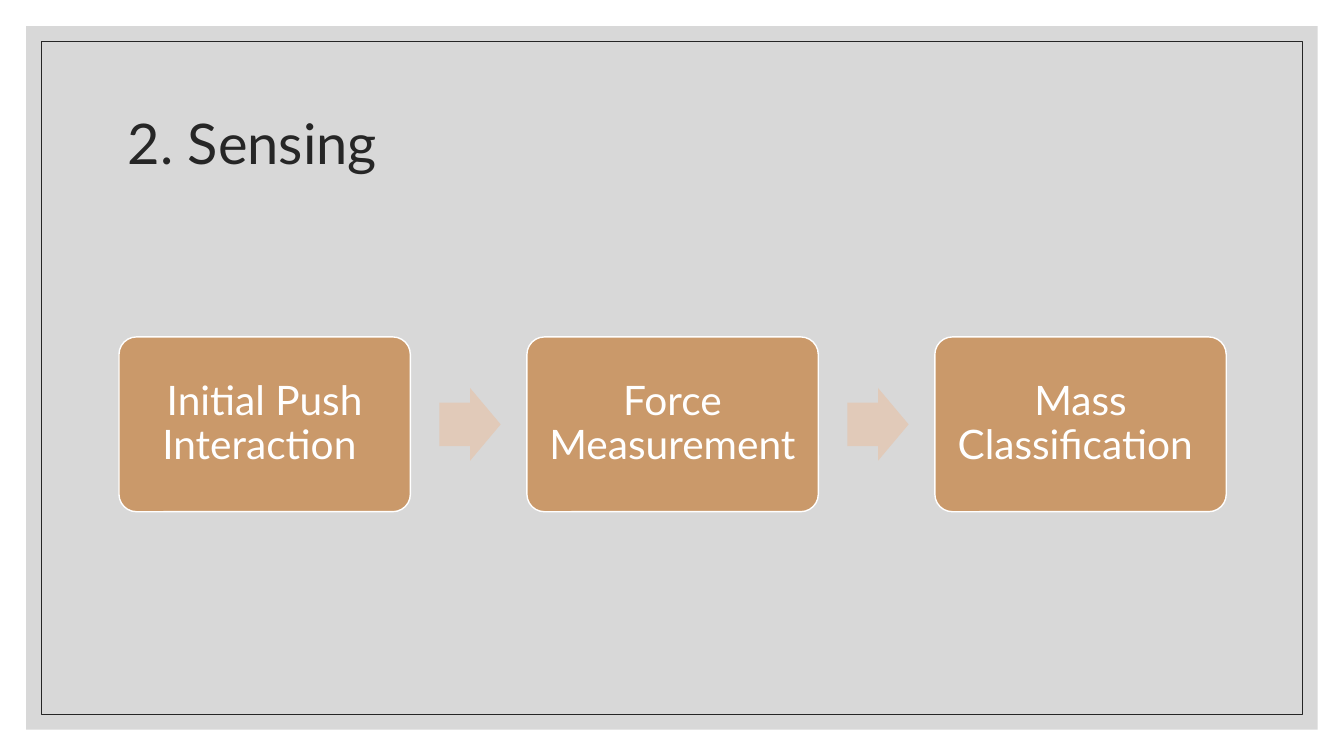
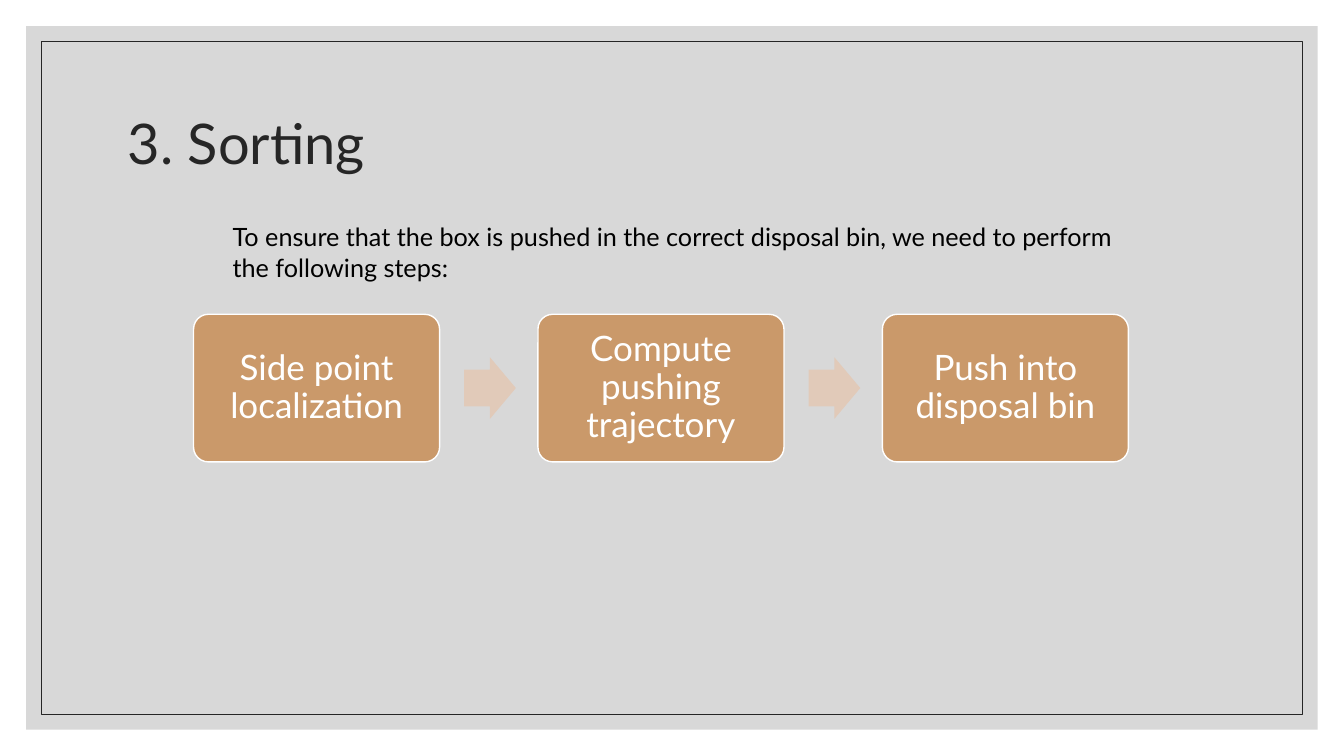
from lxml import etree
from pptx import Presentation
from pptx.dml.color import RGBColor
from pptx.enum.shapes import MSO_SHAPE
from pptx.enum.text import MSO_ANCHOR, PP_ALIGN
from pptx.oxml.ns import qn
from pptx.util import Inches, Pt

RECT = MSO_SHAPE.RECTANGLE
ROUND = MSO_SHAPE.ROUNDED_RECTANGLE
ARROW = MSO_SHAPE.RIGHT_ARROW
MIDDLE, TOP = MSO_ANCHOR.MIDDLE, MSO_ANCHOR.TOP
LEFT, CENTER = PP_ALIGN.LEFT, PP_ALIGN.CENTER

WHITE = RGBColor(0xFF, 0xFF, 0xFF)
BLACK = RGBColor(0, 0, 0)
INK = RGBColor(0x26, 0x26, 0x26)
GREY = RGBColor(0xBF, 0xBF, 0xBF)
TAN = RGBColor(0xCA, 0x99, 0x6A)
PALE = RGBColor(0xE1, 0xCA, 0xB9)

FONT = "Lato"
WIDE, HIGH = 13.33, 7.5

# Flow chart sizes, as shares of a step's width
PITCH = 1.4
STEP_H = 0.6
ARROW_X, ARROW_W, ARROW_H = 1.1, 0.21, 0.25
INSET = 0.04


def add_shape(slide, kind, x, y, w, h, fill=None, line=None, width=1):
    shape = slide.shapes.add_shape(
        kind, Inches(x), Inches(y), Inches(w), Inches(h))
    shape.shadow.inherit = False
    if fill is None:
        shape.fill.background()
    else:
        shape.fill.solid()
        shape.fill.fore_color.rgb = fill
    if line is None:
        shape.line.fill.background()
    else:
        shape.line.color.rgb = line
        shape.line.width = Pt(width)
    return shape


def set_text(shape, text, size, color, align=LEFT, anchor=TOP, space=1.0):
    frame = shape.text_frame
    frame.word_wrap = True
    frame.vertical_anchor = anchor
    para = frame.paragraphs[0]
    para.text = text
    para.alignment = align
    para.line_spacing = space
    para.font.name = FONT
    para.font.size = Pt(size)
    para.font.color.rgb = color


def add_text(slide, x, y, w, h, *args, **style):
    box = slide.shapes.add_textbox(
        Inches(x), Inches(y), Inches(w), Inches(h))
    set_text(box, *args, **style)


def add_frame(slide, gap, **style):
    return add_shape(slide, RECT, gap, gap,
                     WIDE - 2 * gap, HIGH - 2 * gap, **style)


def add_page(deck, title):
    slide = deck.slides.add_slide(deck.slide_layouts[6])
    # Translucent panel with a thin inner border
    panel = add_frame(slide, 0.26, fill=GREY)
    color = panel.fill._xPr.find(".//" + qn("a:srgbClr"))
    etree.SubElement(color, qn("a:alpha")).set("val", "60000")
    add_frame(slide, 0.41, line=INK, width=0.5)
    # Title
    add_text(slide, 1.17, 0.7, 11, 1.5, title, 40, INK,
             anchor=MIDDLE, space=0.9)
    return slide


def add_flow(slide, steps, x, mid, unit, size):
    high, tall = STEP_H * unit, ARROW_H * unit
    for i, step in enumerate(steps):
        left = x + i * PITCH * unit
        if i:
            add_shape(slide, ARROW, left + (ARROW_X - PITCH) * unit,
                      mid - tall / 2, ARROW_W * unit, tall,
                      fill=PALE).adjustments[0] = 0.6
        box = add_shape(slide, ROUND, left, mid - high / 2, unit, high,
                        fill=TAN, line=WHITE)
        box.adjustments[0] = 0.1
        frame = box.text_frame
        frame.margin_left = frame.margin_right = Inches(INSET * unit)
        frame.margin_top = frame.margin_bottom = Inches(INSET * unit)
        set_text(box, step, size, WHITE, CENTER, MIDDLE, 0.9)


def main():
    deck = Presentation()
    deck.slide_width, deck.slide_height = Inches(WIDE), Inches(HIGH)

    # Sensing
    slide = add_page(deck, "2. Sensing")
    add_flow(slide, ["Initial Push Interaction ", "Force Measurement",
                     "Mass Classification "], 1.18, 4.21, 2.89, 29)

    # Sorting
    slide = add_page(deck, "3. Sorting")
    add_flow(slide, ["Side point localization", "Compute pushing trajectory",
                     "Push into disposal bin"], 1.92, 3.85, 2.44, 25)
    add_text(slide, 2.21, 2.15, 9, 0.71,
             "To ensure that the box is pushed in the correct disposal bin, "
             "we need to perform the following steps:", 18, BLACK)

    deck.save("out.pptx")


if __name__ == "__main__":
    main()
